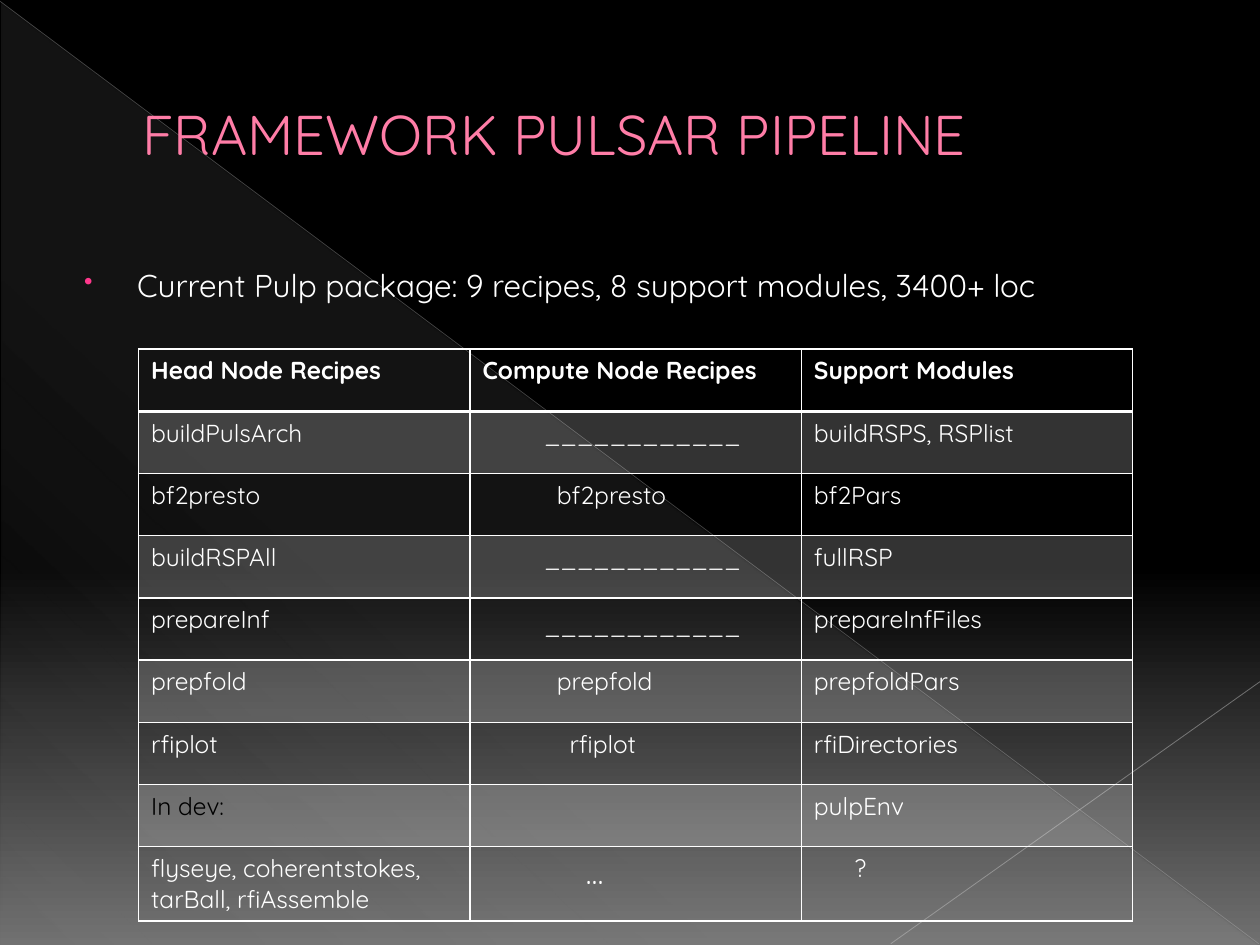
"""Build the Framework Pulsar Pipeline slide."""
from lxml import etree
from pptx import Presentation
from pptx.dml.color import RGBColor
from pptx.enum import shapes, text
from pptx.oxml import parse_xml
from pptx.oxml.ns import nsdecls, qn
from pptx.util import Inches, Pt

PINK = RGBColor(0xFF, 0x7D, 0xA7)
WHITE = RGBColor(0xFF, 0xFF, 0xFF)
BLACK = RGBColor(0, 0, 0)
SILVER = RGBColor(0xBF, 0xBF, 0xBF)
GREY = RGBColor(0xC6, 0xC6, 0xC6)
OUTLINE = RGBColor(0xB1, 0x27, 0x61)
BULLET = RGBColor(0xFF, 0x38, 0x8C)
LIGHT = RGBColor(0xD2, 0xD2, 0xD2)
SMOKE = RGBColor(0x70, 0x70, 0x70)


def write(tf, content, size=14, color=WHITE, bold=False, left=0, hang=0):
    tf.word_wrap = True
    for i, line in enumerate(content.split("\n")):
        p = tf.add_paragraph() if i else tf.paragraphs[0]
        pPr = p._p.get_or_add_pPr()
        pPr.set("marL", str(Inches(left)))
        pPr.set("indent", str(Inches(hang)))
        r = p.add_run()
        r.text = line
        r.font.name = "Quicksand"
        r.font.size = Pt(size)
        r.font.bold = bold
        r.font.color.rgb = color
    return p


def gradient(element, stops, angle):
    gs = "".join(
        f'<a:gs pos="{pos * 1000}"><a:srgbClr val="{color}">'
        f'<a:alpha val="{alpha * 1000}"/></a:srgbClr></a:gs>'
        for pos, color, alpha in stops)
    solid = element.find(".//" + qn("a:solidFill"))
    solid.getparent().replace(solid, parse_xml(
        f'<a:gradFill {nsdecls("a")} rotWithShape="1"><a:gsLst>{gs}</a:gsLst>'
        f'<a:lin ang="{angle * 60000}" scaled="0"/></a:gradFill>'))


prs = Presentation()
prs.slide_width, prs.slide_height = Inches(10), Inches(7.5)
s = prs.slides.add_slide(prs.slide_layouts[6])
s.background.fill.solid()
s.background.fill.fore_color.rgb = BLACK
gradient(s._element, [(0, BLACK, 100), (60, BLACK, 100), (100, SMOKE, 100)], 90)

sp = s.shapes.add_shape(shapes.MSO_SHAPE.RIGHT_TRIANGLE,
                        Inches(0.01), Inches(0.02), Inches(9.98), Inches(7.48))
sp.shadow.inherit = False
sp.line.fill.background()
sp.fill.solid()
sp.fill.fore_color.rgb = LIGHT
gradient(sp._element, [(0, LIGHT, 10), (70, LIGHT, 8), (100, LIGHT, 1)], 133)

for x1, y1, x2, y2, color, width, alpha in [
        (0, 0.01, 9.99, 7.49, SILVER, 0.39, 35),
        (10, 5.41, 7.07, 7.49, GREY, 0.47, 45)]:
    line = s.shapes.add_connector(shapes.MSO_CONNECTOR.STRAIGHT,
                                  Inches(x1), Inches(y1), Inches(x2), Inches(y2))
    line.line.color.rgb = color
    line.line.width = Pt(width)
    spPr = line._element.spPr
    clr = spPr.find(".//" + qn("a:srgbClr"))
    etree.SubElement(clr, qn("a:alpha")).set("val", str(alpha * 1000))
    etree.SubElement(spPr, qn("a:effectLst"))

title = s.shapes.add_textbox(Inches(0.5), Inches(0.29), Inches(9), Inches(1.53))
title.text_frame.vertical_anchor = text.MSO_ANCHOR.MIDDLE
p = write(title.text_frame, "FRAMEWORK PULSAR PIPELINE", size=32, color=PINK, left=0.53)
p.runs[0].font._element.insert(0, parse_xml(
    f'<a:ln {nsdecls("a")} w="{Pt(0.5)}"><a:solidFill>'
    f'<a:srgbClr val="{OUTLINE}"/></a:solidFill></a:ln>'))

body = s.shapes.add_textbox(Inches(0.5), Inches(2.06), Inches(9), Inches(5))
p = write(body.text_frame, "Current Pulp package: 9 recipes, 8 support modules, 3400+ loc",
          size=18, left=0.49, hang=-0.42)
pPr = p._p.get_or_add_pPr()
clr = etree.SubElement(pPr, qn("a:buClr"))
etree.SubElement(clr, qn("a:srgbClr")).set("val", str(BULLET))
etree.SubElement(pPr, qn("a:buSzPct")).set("val", "80000")
etree.SubElement(pPr, qn("a:buChar")).set("char", "•")

BLANK = "_" * 12
rows = [
    ("Head Node Recipes", "Compute Node Recipes", "Support Modules"),
    ("buildPulsArch", BLANK, "buildRSPS, RSPlist"),
    ("bf2presto", "bf2presto", "bf2Pars"),
    ("buildRSPAll", BLANK, "fullRSP"),
    ("prepareInf", BLANK, "prepareInfFiles"),
    ("prepfold", "prepfold", "prepfoldPars"),
    ("rfiplot", "rfiplot", "rfiDirectories"),
    ("In dev:", "", "pulpEnv"),
    ("flyseye, coherentstokes,\ntarBall, rfiAssemble", "…", "?"),
]
indents = {(1, 1): 0.49, (2, 1): 0.59, (3, 1): 0.49, (4, 1): 0.49,
           (5, 1): 0.59, (6, 1): 0.69, (8, 1): 0.82, (8, 2): 0.32}

table = s.shapes.add_table(len(rows), 3, Inches(1.1), Inches(2.77),
                           Inches(7.89), Inches(4.54)).table
table.first_row = table.horz_banding = False
for col in table.columns:
    col.width = Inches(2.63)
for i, row in enumerate(rows):
    table.rows[i].height = Inches(0.59) if i == 8 else Inches(3.95) // 8
    for j, content in enumerate(row):
        cell = table.cell(i, j)
        if content:
            write(cell.text_frame, content, size=18 if content == "…" else 14,
                  color=BLACK if content == "In dev:" else WHITE,
                  bold=i == 0, left=indents.get((i, j), 0))
        if (i, j) == (4, 1):
            cell.margin_top = Inches(0.09)
        tcPr = cell._tc.get_or_add_tcPr()
        if i % 2:
            cell.fill.solid()
            cell.fill.fore_color.rgb = WHITE
            clr = tcPr.find(".//" + qn("a:srgbClr"))
            etree.SubElement(clr, qn("a:alpha")).set("val", "20000")
        else:
            cell.fill.background()
        for n, side in enumerate("LRTB"):
            width = 2 if (i, side) in [(0, "B"), (1, "T")] else 1
            tcPr.insert(n, parse_xml(
                f'<a:ln{side} {nsdecls("a")} w="{Pt(width)}"><a:solidFill>'
                f'<a:srgbClr val="{WHITE}"/></a:solidFill></a:ln{side}>'))

prs.save("out.pptx")
